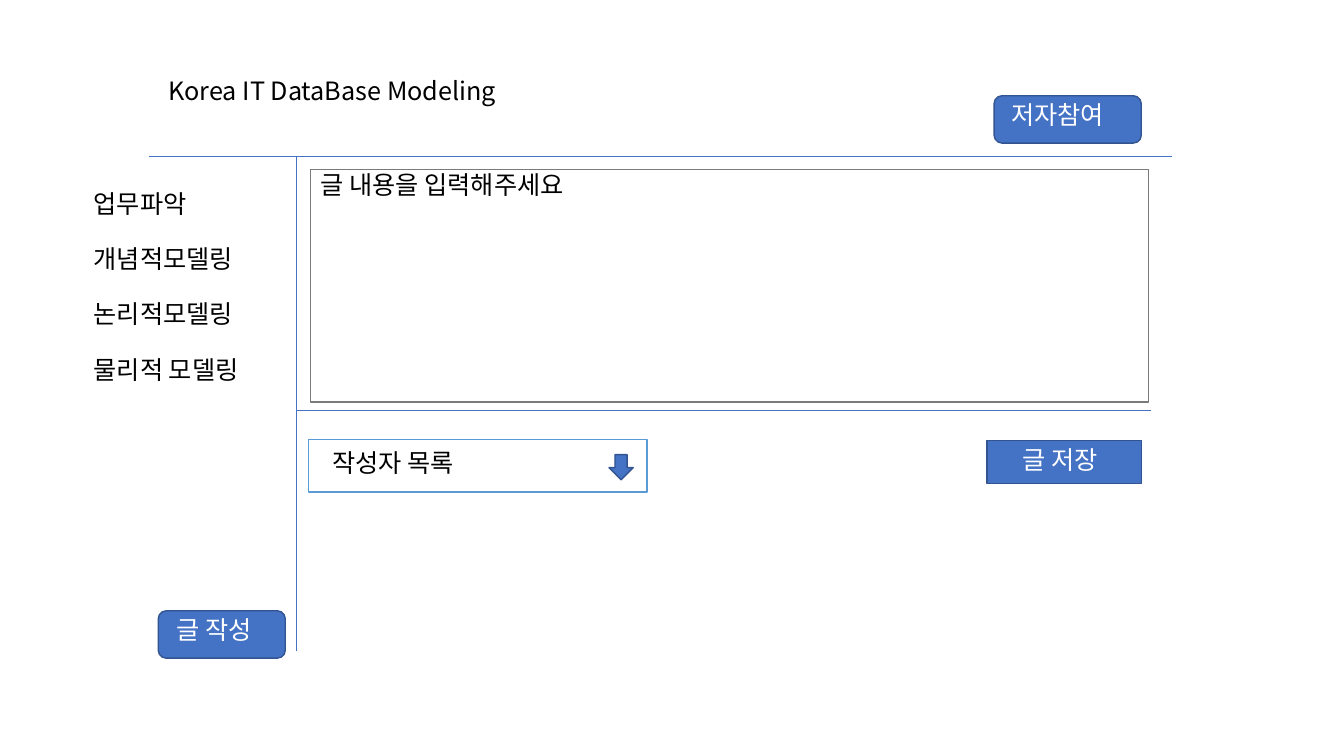
from lxml import etree
from pptx import Presentation
from pptx.dml.color import RGBColor
from pptx.enum import shapes, text
from pptx.oxml import ns
from pptx.util import Inches, Pt

FONT = "Noto Sans CJK KR"
BLACK = RGBColor(0x00, 0x00, 0x00)
WHITE = RGBColor(0xFF, 0xFF, 0xFF)
BLUE = RGBColor(0x44, 0x72, 0xC4)
DARK_BLUE = RGBColor(0x32, 0x54, 0x91)
LIGHT_BLUE = RGBColor(0x5B, 0x9B, 0xD5)
GRAY = RGBColor(0x7A, 0x7A, 0x7A)

RECT = shapes.MSO_SHAPE.RECTANGLE
ROUNDED = shapes.MSO_SHAPE.ROUNDED_RECTANGLE
DOWN_ARROW = shapes.MSO_SHAPE.DOWN_ARROW

MENU = ["업무파악", "개념적모델링", "논리적모델링", "물리적 모델링"]


def place(item, left, top, width, height):
    item.left, item.top = Inches(left), Inches(top)
    item.width, item.height = Inches(width), Inches(height)


def write(box, lines, color=BLACK, gap=0):
    """Fill a text box or placeholder with left-aligned 18 pt lines."""
    frame = box.text_frame
    frame.text = "\n".join(lines)
    frame.word_wrap = True
    frame.auto_size = text.MSO_AUTO_SIZE.SHAPE_TO_FIT_TEXT
    frame.vertical_anchor = text.MSO_ANCHOR.TOP
    for para in frame.paragraphs:
        para.alignment = text.PP_ALIGN.LEFT
        para.line_spacing = 0.9
        para.space_before = Pt(0)
        para.space_after = Pt(gap)
        para.font.size = Pt(18)
        para.font.color.rgb = color
        para.font.name = FONT
        # The same typeface for Korean letters
        latin = para.font._element.find(ns.qn("a:latin"))
        east_asian = etree.Element(ns.qn("a:ea"), typeface=FONT)
        latin.addnext(east_asian)


def add_label(page, wording, left, top, width, color=BLACK):
    box = page.shapes.add_textbox(
        Inches(left), Inches(top), Inches(width), Inches(0.4))
    write(box, [wording], color)


def add_block(page, kind, left, top, width, height, fill=BLUE, edge=DARK_BLUE):
    block = page.shapes.add_shape(
        kind, Inches(left), Inches(top), Inches(width), Inches(height))
    block.shadow.inherit = False
    block.fill.solid()
    block.fill.fore_color.rgb = fill
    block.line.color.rgb = edge
    block.line.width = Pt(1)


def add_divider(page, x1, y1, x2, y2):
    line = page.shapes.add_connector(
        shapes.MSO_CONNECTOR.STRAIGHT,
        Inches(x1), Inches(y1), Inches(x2), Inches(y2))
    line.line.color.rgb = BLUE
    line.line.width = Pt(0.5)
    etree.SubElement(line._element.spPr, ns.qn("a:effectLst"))


def add_button(page, kind, wording, left, top, width, height, indent):
    add_block(page, kind, left, top, width, height)
    add_label(page, wording, left + indent, top + 0.02, 1.35, WHITE)


def add_header(page, left, top):
    title = page.shapes.title
    place(title, left, top, 5.34, 0.4)
    write(title, ["Korea IT DataBase Modeling"])
    add_button(page, ROUNDED, "저자참여",
               left + 8.29, top + 0.22, 1.46, 0.47, 0.07)


def add_sidebar(page, left, top):
    menu = page.placeholders[1]
    place(menu, left, top, 2, 2.22)
    write(menu, MENU, gap=20)
    # Plain menu lines without bullets or indents
    for para in menu.text_frame.paragraphs:
        props = para._p.get_or_add_pPr()
        props.set("marL", "0")
        props.set("indent", "0")
        props.find(ns.qn("a:defRPr")).addprevious(
            etree.Element(ns.qn("a:buNone")))
    add_button(page, ROUNDED, "글 작성",
               left + 0.74, top + 4.21, 1.26, 0.47, 0.08)


def add_editor(page, left, top):
    # Writing area
    add_block(page, RECT, left, top, 8.31, 2.31, WHITE, GRAY)
    add_label(page, "글 내용을 입력해주세요", left, top - 0.02, 8.4)
    # Author drop-down
    add_block(page, RECT, left - 0.02, top + 2.68, 3.36, 0.52,
              WHITE, LIGHT_BLUE)
    add_label(page, "작성자 목록", left + 0.12, top + 2.74, 2.97)
    add_block(page, DOWN_ARROW, left + 2.96, top + 2.83, 0.24, 0.25)
    # Save button
    add_button(page, RECT, "글 저장",
               left + 6.71, top + 2.69, 1.53, 0.43, 0.25)


def add_dividers(page, left, top):
    add_divider(page, left - 1.46, top, left + 8.68, top)
    add_divider(page, left, top, left, top + 4.91)
    add_divider(page, left, top + 2.52, left + 8.48, top + 2.52)


def main():
    deck = Presentation()
    deck.slide_width, deck.slide_height = Inches(13.33), Inches(7.5)
    page = deck.slides.add_slide(deck.slide_layouts[1])
    add_dividers(page, 2.94, 1.55)
    add_header(page, 1.57, 0.73)
    add_sidebar(page, 0.83, 1.85)
    add_editor(page, 3.08, 1.68)
    deck.save("out.pptx")


if __name__ == "__main__":
    main()
